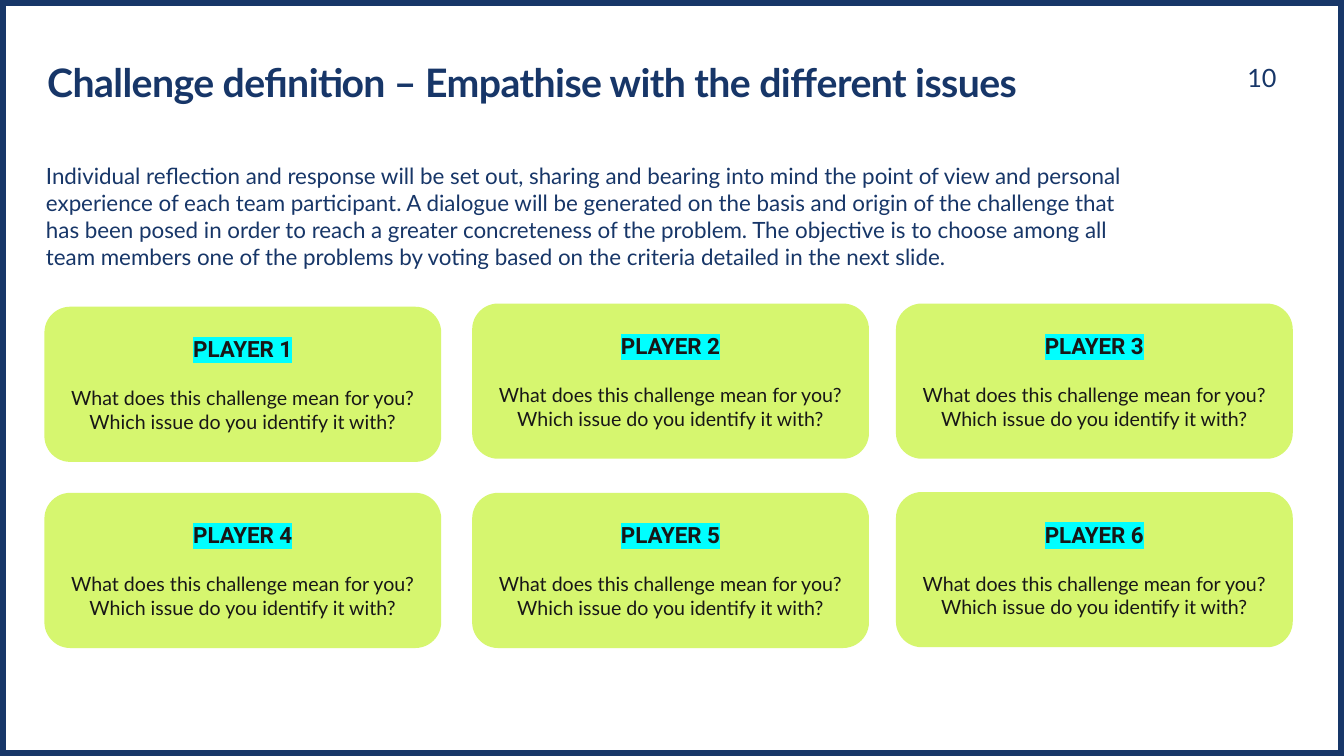
from dataclasses import dataclass

from lxml import etree
from pptx import Presentation
from pptx.dml.color import RGBColor
from pptx.enum.shapes import MSO_SHAPE
from pptx.enum.text import MSO_ANCHOR, PP_ALIGN
from pptx.oxml.ns import qn
from pptx.util import Cm, Pt

RECTANGLE = MSO_SHAPE.RECTANGLE
ROUNDED = MSO_SHAPE.ROUNDED_RECTANGLE
MIDDLE = MSO_ANCHOR.MIDDLE
LEFT, CENTER, RIGHT = PP_ALIGN.LEFT, PP_ALIGN.CENTER, PP_ALIGN.RIGHT


@dataclass(frozen=True)
class Theme:
    navy: str = "173668"
    lime: str = "D6F66F"
    ink: str = "181717"
    cyan: str = "00FFFF"
    white: str = "FFFFFF"
    body_font: str = "Lato"
    label_font: str = "Roboto"
    title_size: int = 28
    number_size: int = 18
    text_size: int = 16
    question_size: int = 14


THEME = Theme()
TITLE = "Challenge definition – Empathise with the different issues"
INTRO = (
    "Individual reflection and response will be set out, sharing and bearing into mind "
    "the point of view and personal experience of each team participant. A dialogue will "
    "be generated on the basis and origin of the challenge that has been posed in order "
    "to reach a greater concreteness of the problem. The objective is to choose among all "
    "team members one of the problems by voting based on the criteria detailed in the "
    "next slide."
)
QUESTIONS = (
    "What does this challenge mean for you?",
    "Which issue do you identify it with?",
)
CARD_LEFTS = (1.12, 11.9, 22.58)
CARD_TOPS = ((7.73, 7.65, 7.65), (12.42, 12.42, 12.4))
CARD_WIDTH, CARD_HEIGHT = 10, 3.91


def write(para, text, size, color, name=THEME.body_font, bold=False, align=LEFT):
    para.alignment = align
    span = para.add_run()
    span.text = text
    span.font.color.rgb = RGBColor.from_string(color)
    for key, value in {"name": name, "size": Pt(size), "bold": bold}.items():
        setattr(span.font, key, value)
    return span


def highlight(span, color):
    mark = etree.Element(qn("a:highlight"))
    etree.SubElement(mark, qn("a:srgbClr"), val=color)
    span._r.get_or_add_rPr().find(qn("a:solidFill")).addnext(mark)


def add_text(page, left, top, width, height, text, size, inset=True, **style):
    box = page.shapes.add_textbox(Cm(left), Cm(top), Cm(width), Cm(height))
    frame = box.text_frame
    frame.word_wrap = True
    if not inset:
        for side in ("left", "top", "right", "bottom"):
            setattr(frame, f"margin_{side}", 0)
    return write(frame.paragraphs[0], text, size, THEME.navy, **style)


def add_border(page, width, height):
    border = page.shapes.add_shape(RECTANGLE, 0, 0, width, height)
    border.shadow.inherit = False
    border.fill.background()
    border.line.color.rgb = RGBColor.from_string(THEME.navy)
    border.line.width = Pt(8)


def add_card(page, left, top, label):
    card = page.shapes.add_shape(
        ROUNDED, Cm(left), Cm(top), Cm(CARD_WIDTH), Cm(CARD_HEIGHT)
    )
    card.shadow.inherit = False
    card.fill.solid()
    card.fill.fore_color.rgb = RGBColor.from_string(THEME.lime)
    card.line.fill.background()
    frame = card.text_frame
    for key, value in {"word_wrap": True, "vertical_anchor": MIDDLE}.items():
        setattr(frame, key, value)
    heading = frame.paragraphs[0]
    heading.space_after = Pt(17)
    span = write(heading, label, THEME.text_size, THEME.ink,
                 name=THEME.label_font, bold=True, align=CENTER)
    highlight(span, THEME.cyan)
    for question in QUESTIONS:
        write(frame.add_paragraph(), question, THEME.question_size, THEME.ink,
              align=CENTER)


def main():
    deck = Presentation()
    deck.slide_width, deck.slide_height = Cm(33.87), Cm(19.05)
    page = deck.slides.add_slide(deck.slide_layouts[6])
    page.background.fill.solid()
    page.background.fill.fore_color.rgb = RGBColor.from_string(THEME.white)

    add_border(page, deck.slide_width, deck.slide_height)
    add_text(page, 24.8, 1.45, 7.62, 1.02, "10", THEME.number_size, align=RIGHT)
    title = add_text(page, 1.19, 1.47, 26.09, 1.19, TITLE, THEME.title_size,
                     inset=False, bold=True)
    title._r.get_or_add_rPr().set("spc", "-40")
    add_text(page, 0.91, 3.96, 27.99, 3.68, INTRO, THEME.text_size)

    for row, tops in enumerate(CARD_TOPS):
        for column, (left, top) in enumerate(zip(CARD_LEFTS, tops)):
            number = row * len(CARD_LEFTS) + column + 1
            add_card(page, left, top, f"PLAYER {number}")

    deck.save("out.pptx")


if __name__ == "__main__":
    main()
